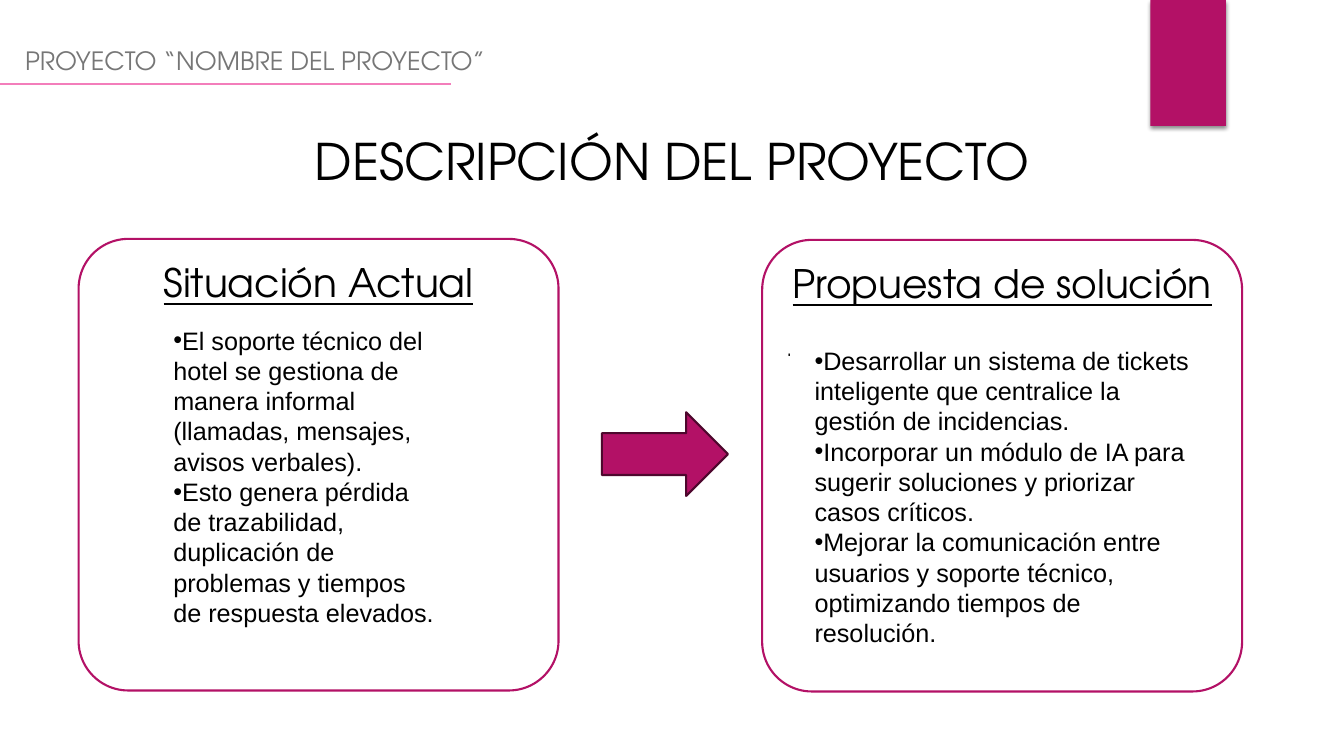
"""Build the project description slide: current situation, arrow, proposed solution."""
import dataclasses
import typing

import lxml.etree
import pptx
import pptx.dml.color
import pptx.enum.shapes
import pptx.enum.text
import pptx.oxml
import pptx.oxml.ns
import pptx.util

Inches = pptx.util.Inches
Pt = pptx.util.Pt
Color = pptx.dml.color.RGBColor
Shapes = pptx.enum.shapes.MSO_SHAPE
Align = pptx.enum.text.PP_ALIGN
Anchor = pptx.enum.text.MSO_ANCHOR
qn = pptx.oxml.ns.qn


@dataclasses.dataclass(frozen=True)
class Theme:
    """Colours, fonts and type sizes of the slide."""
    accent: Color = Color.from_string("B31166")
    accent_dark: Color = Color.from_string("4E072D")
    accent_light: Color = Color.from_string("F37EBB")
    paper: Color = Color.from_string("FFFFFF")
    ink: Color = Color.from_string("000000")
    muted: Color = Color.from_string("767676")
    display_font: str = "TeX Gyre Adventor"
    body_font: str = "Arial"
    title_size: float = 36
    heading_size: float = 28
    body_size: float = 18
    small_size: float = 14
    body_leading: float = 21.6
    outline: float = 1.5
    rule: float = 1.25


class Area(typing.NamedTuple):
    """Left, top, width and height in inches."""
    left: float
    top: float
    width: float
    height: float

    def lengths(self) -> list[pptx.util.Length]:
        """Return the four values as lengths."""
        return [Inches(value) for value in self]


@dataclasses.dataclass(frozen=True)
class Panel:
    """A rounded frame with a heading and a bulleted list."""
    frame: Area
    heading: str
    list_area: Area
    items: tuple[str, ...]
    mark: str = ""


THEME = Theme()
PANELS = (
    Panel(
        Area(0.78, 2.37, 4.76, 4.48), "Situación Actual", Area(1.62, 3.16, 2.85, 3.13),
        ("El soporte técnico del hotel se gestiona de manera informal (llamadas, mensajes, avisos verbales).",
         "Esto genera pérdida de trazabilidad, duplicación de problemas y tiempos de respuesta elevados."),
    ),
    Panel(
        Area(7.56, 2.38, 4.76, 4.48), "Propuesta de solución", Area(7.98, 3.36, 3.92, 3.13),
        ("Desarrollar un sistema de tickets inteligente que centralice la gestión de incidencias.",
         "Incorporar un módulo de IA para sugerir soluciones y priorizar casos críticos.",
         "Mejorar la comunicación entre usuarios y soporte técnico, optimizando tiempos de resolución."),
        mark=".",
    ),
)


def add_span(para: typing.Any, text: str, size: float, font: str = THEME.display_font,
             color: Color = THEME.ink, underline: bool = False) -> None:
    """Append one formatted run to a paragraph."""
    span = para.add_run()
    span.text = text
    span.font.size = Pt(size)
    span.font.name = font
    span.font.color.rgb = color
    span.font.underline = underline


def prepare_text(box: typing.Any, anchor: Anchor = Anchor.TOP) -> typing.Any:
    """Make a text box wrap and grow, and return its text frame."""
    frame = box.text_frame
    frame.word_wrap = True
    frame.auto_size = pptx.enum.text.MSO_AUTO_SIZE.SHAPE_TO_FIT_TEXT
    frame.vertical_anchor = anchor
    return frame


def add_block(page: typing.Any, kind: Shapes, area: Area, fill: Color,
              line: Color | None = None) -> typing.Any:
    """Draw a filled preset shape, outlined when a line colour is given."""
    block = page.shapes.add_shape(kind, *area.lengths())
    block.shadow.inherit = False
    block.fill.solid()
    block.fill.fore_color.rgb = fill
    if line is None:
        block.line.fill.background()
    else:
        block.line.color.rgb = line
        block.line.width = Pt(THEME.outline)
    return block


def add_ribbon(page: typing.Any) -> None:
    """Draw the top ribbon with its soft shadow."""
    ribbon = add_block(page, Shapes.RECTANGLE, Area(11.41, 0, 0.75, 1.25), THEME.accent)
    effects = ribbon._element.spPr.find(qn("a:effectLst"))
    shadow = lxml.etree.SubElement(effects, qn("a:outerShdw"), blurRad=str(Pt(3)), dist=str(Pt(2)),
                                   dir="5400000", algn="ctr", rotWithShape="0")
    color = lxml.etree.SubElement(shadow, qn("a:srgbClr"), val=str(THEME.ink))
    lxml.etree.SubElement(color, qn("a:alpha"), val="45000")


def add_header(page: typing.Any) -> None:
    """Write the project name and draw the rule below it."""
    box = page.shapes.add_textbox(*Area(0.15, 0.4, 13.33, 0.4).lengths())
    add_span(prepare_text(box).paragraphs[0], "PROYECTO “NOMBRE DEL PROYECTO”",
             THEME.body_size, color=THEME.muted)
    rule = page.shapes.add_connector(pptx.enum.shapes.MSO_CONNECTOR.STRAIGHT,
                                     Inches(0), Inches(0.83), Inches(4.47), Inches(0.83))
    rule.line.color.rgb = THEME.accent_light
    rule.line.width = Pt(THEME.rule)
    lxml.etree.SubElement(rule._element.spPr, qn("a:effectLst"))


def set_title(page: typing.Any) -> None:
    """Place and format the title placeholder."""
    title = page.shapes.title
    title.left, title.top, title.width, title.height = Area(0, 1.24, 13.33, 0.71).lengths()
    para = prepare_text(title).paragraphs[0]
    para.alignment = Align.CENTER
    add_span(para, "DESCRIPCIÓN DEL PROYECTO", THEME.title_size)


def add_panel(page: typing.Any, panel: Panel) -> None:
    """Draw a panel frame with its heading and optional mark."""
    block = add_block(page, Shapes.ROUNDED_RECTANGLE, panel.frame, THEME.paper, THEME.accent)
    block.adjustments[0] = 0.11
    frame = block.text_frame
    frame.word_wrap = True
    frame.vertical_anchor = Anchor.TOP
    para = frame.paragraphs[0]
    para.alignment = Align.CENTER
    add_span(para, panel.heading, THEME.heading_size, underline=True)
    if panel.mark:
        para = frame.add_paragraph()
        para.alignment = Align.JUSTIFY
        para.space_before = Pt(22)
        add_span(para, panel.mark, THEME.small_size)


def add_list(page: typing.Any, panel: Panel) -> None:
    """Write the bulleted list of a panel."""
    box = page.shapes.add_textbox(*panel.list_area.lengths())
    frame = prepare_text(box, Anchor.MIDDLE)
    for index, item in enumerate(panel.items):
        para = frame.add_paragraph() if index else frame.paragraphs[0]
        para.line_spacing = Pt(THEME.body_leading)
        properties = para._p.get_or_add_pPr()
        properties.set("marL", "0")
        properties.set("indent", "0")
        lxml.etree.SubElement(properties, qn("a:buFont"), typeface=THEME.body_font)
        lxml.etree.SubElement(properties, qn("a:buChar"), char="•")
        add_span(para, item, THEME.body_size, THEME.body_font)


def main() -> None:
    """Build and save the deck."""
    deck = pptx.Presentation()
    deck.slide_width, deck.slide_height = Inches(13.33), Inches(7.5)
    page = deck.slides.add_slide(deck.slide_layouts.get_by_name("Title Only"))
    add_ribbon(page)
    add_header(page)
    set_title(page)
    for panel in PANELS:
        add_panel(page, panel)
        add_list(page, panel)
    add_block(page, Shapes.RIGHT_ARROW, Area(5.97, 4.09, 1.25, 0.83), THEME.accent, THEME.accent_dark)
    deck.save("out.pptx")


if __name__ == "__main__":
    main()
